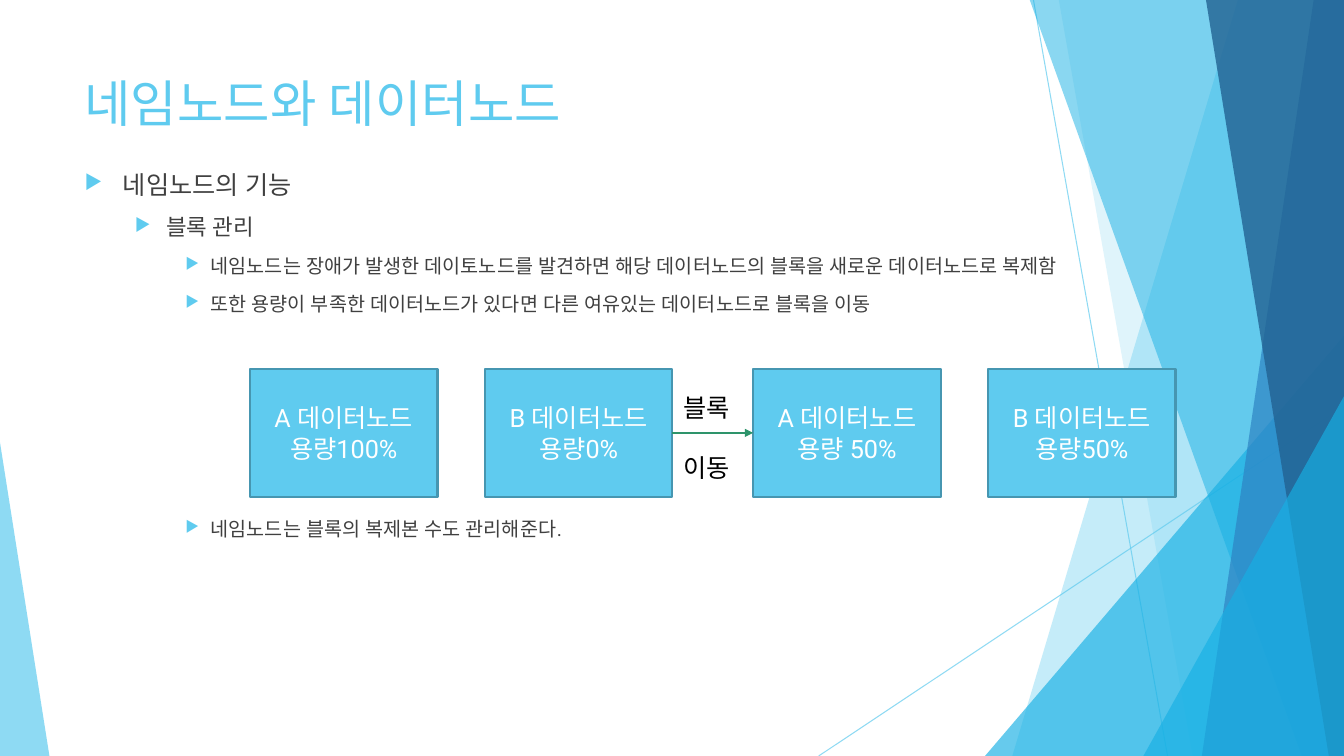
from lxml import etree
from pptx import Presentation
from pptx.dml.color import RGBColor
from pptx.enum.shapes import MSO_CONNECTOR, MSO_SHAPE
from pptx.enum.text import MSO_ANCHOR, PP_ALIGN
from pptx.oxml.ns import qn
from pptx.util import Inches, Pt

RECTANGLE = MSO_SHAPE.RECTANGLE
TRIANGLE = MSO_SHAPE.ISOSCELES_TRIANGLE
STRAIGHT = MSO_CONNECTOR.STRAIGHT
TOP, MIDDLE = MSO_ANCHOR.TOP, MSO_ANCHOR.MIDDLE
LEFT, CENTER = PP_ALIGN.LEFT, PP_ALIGN.CENTER

FONT = "Roboto"
SKY, AZURE, INK = "5FCBEF", "17B0E4", "404040"
SLIDE_W, SLIDE_H = 13.33, 7.5

TITLE = "네임노드와 데이터노드"
BULLETS = [
    (0, 10, "네임노드의 기능"),
    (1, 10, "블록 관리"),
    (2, 10, "네임노드는 장애가 발생한 데이토노드를 발견하면 해당 데이터노드의 블록을 새로운 데이터노드로 복제함"),
    (2, 10, "또한 용량이 부족한 데이터노드가 있다면 다른 여유있는 데이터노드로 블록을 이동"),
    (2, 144, "네임노드는 블록의 복제본 수도 관리해준다."),
]
LEVELS = [(18, 0.38, -0.38), (16, 0.81, -0.31), (14, 1.25, -0.25)]
BEFORE_MOVE = [("A 데이터노드", "용량100%"), ("B 데이터노드", "용량0%")]
AFTER_MOVE = [("A 데이터노드", "용량 50%"), ("B 데이터노드", "용량50%")]
MOVE_LABEL = ["블록", "이동"]

NODE_W, NODE_H, NODE_TOP, NODE_PITCH = 1.86, 1.27, 3.66, 2.33
BEFORE_LEFT, AFTER_LEFT = 2.48, 7.47

RAYS = [((10.25, 0), (11.58, SLIDE_H)), ((SLIDE_W, 4.03), (8.12, SLIDE_H))]
BANDS_AND_WEDGES = [
    ("band", (12.28, 10.04), SKY, 36),
    ("band", (10.5, 11.83), SKY, 20),
    ("wedge", (9.77, 3.33, 3.56, 1), AZURE, 66),
    ("band", (10.21, 12.91), AZURE, 50),
    ("band", (13.03, 11.92), "2E83C3", 70),
    ("band", (11.96, 13.18), "226292", 80),
    ("wedge", (11.34, 3.93, 1.99, 1), AZURE, 66),
    ("wedge", (0, 4.39, 0.49, 0), SKY, 70),
]


def color(value):
    return RGBColor.from_string(value)


def set_alpha(properties, percent):
    tint = properties.find(".//" + qn("a:srgbClr"))
    etree.SubElement(tint, qn("a:alpha"), val=str(percent * 1000))


def style_line(connector, tint, width):
    connector.line.color.rgb = color(tint)
    connector.line.width = Pt(width)
    etree.SubElement(connector._element.spPr, qn("a:effectLst"))


def write(frame, lines, size, tint, align=LEFT, anchor=TOP):
    frame.word_wrap = True
    frame.vertical_anchor = anchor
    frame.text = "\n".join(lines)
    for paragraph in frame.paragraphs:
        paragraph.alignment = align
        for run in paragraph.runs:
            run.font.name = FONT
            run.font.size = Pt(size)
            run.font.color.rgb = color(tint)
            etree.SubElement(run._r.get_or_add_rPr(), qn("a:ea"), typeface=FONT)


def add_text(slide, box, lines, size, tint):
    frame = slide.shapes.add_textbox(*map(Inches, box)).text_frame
    write(frame, lines, size, tint)
    return frame


def add_bullet(paragraph, level, space):
    size, margin, indent = LEVELS[level]
    paragraph.level = level
    paragraph.space_before = Pt(space)
    for run in paragraph.runs:
        run.font.size = Pt(size)
    properties = paragraph._p.get_or_add_pPr()
    properties.set("marL", str(Inches(margin)))
    properties.set("indent", str(Inches(indent)))
    bullet_color = etree.SubElement(properties, qn("a:buClr"))
    etree.SubElement(bullet_color, qn("a:srgbClr"), val=SKY)
    etree.SubElement(properties, qn("a:buSzPct"), val="80000")
    etree.SubElement(properties, qn("a:buChar"), char="▶")


def add_backdrop(slide):
    for start, end in RAYS:
        ray = slide.shapes.add_connector(STRAIGHT, *map(Inches, start + end))
        style_line(ray, SKY, 0.75)
        set_alpha(ray._element.spPr, 70)
    for kind, place, tint, alpha in BANDS_AND_WEDGES:
        if kind == "band":
            top_x, bottom_x = place
            corners = [(top_x, -0.01), (SLIDE_W, -0.01), (SLIDE_W, SLIDE_H), (bottom_x, SLIDE_H)]
            points = [(Inches(x), Inches(y)) for x, y in corners]
            outline = slide.shapes.build_freeform(*points[0], scale=1.0)
            outline.add_line_segments(points[1:], close=True)
            facet = outline.convert_to_shape()
        else:
            left, top, width, apex = place
            facet = slide.shapes.add_shape(TRIANGLE, *map(Inches, (left, top, width, SLIDE_H - top)))
            facet.adjustments[0] = apex
        facet.shadow.inherit = False
        facet.fill.solid()
        facet.fill.fore_color.rgb = color(tint)
        set_alpha(facet._element.spPr, alpha)
        facet.line.fill.background()


def add_nodes(slide, first_left, nodes):
    boxes = []
    for index, lines in enumerate(nodes):
        left = first_left + index * NODE_PITCH
        node = slide.shapes.add_shape(RECTANGLE, *map(Inches, (left, NODE_TOP, NODE_W, NODE_H)))
        node.shadow.inherit = False
        node.fill.solid()
        node.fill.fore_color.rgb = color(SKY)
        node.line.color.rgb = color("4696B1")
        node.line.width = Pt(1.5)
        write(node.text_frame, lines, 18, "FFFFFF", CENTER, MIDDLE)
        boxes.append(node)
    return boxes


def main():
    deck = Presentation()
    deck.slide_width, deck.slide_height = Inches(SLIDE_W), Inches(SLIDE_H)
    slide = deck.slides.add_slide(deck.slide_layouts[6])
    add_backdrop(slide)

    add_text(slide, (0.74, 0.67, 9.4, 1.44), [TITLE], 36, SKY)
    body = add_text(slide, (0.74, 1.63, 10.22, 4.24), [text for _, _, text in BULLETS], 14, INK)
    for paragraph, (level, space, _) in zip(body.paragraphs, BULLETS):
        add_bullet(paragraph, level, space)

    source = add_nodes(slide, BEFORE_LEFT, BEFORE_MOVE)[-1]
    target = add_nodes(slide, AFTER_LEFT, AFTER_MOVE)[0]
    move = slide.shapes.add_connector(STRAIGHT, 0, 0, 0, 0)
    move.begin_connect(source, 3)
    move.end_connect(target, 1)
    style_line(move, "2E946B", 1)
    etree.SubElement(move.line._get_or_add_ln(), qn("a:tailEnd"), type="triangle")

    label = add_text(slide, (6.68, 3.84, 0.72, 1.01), MOVE_LABEL, 18, "000000")
    label.paragraphs[1].space_before = Pt(21.5)

    deck.save("out.pptx")


if __name__ == "__main__":
    main()
